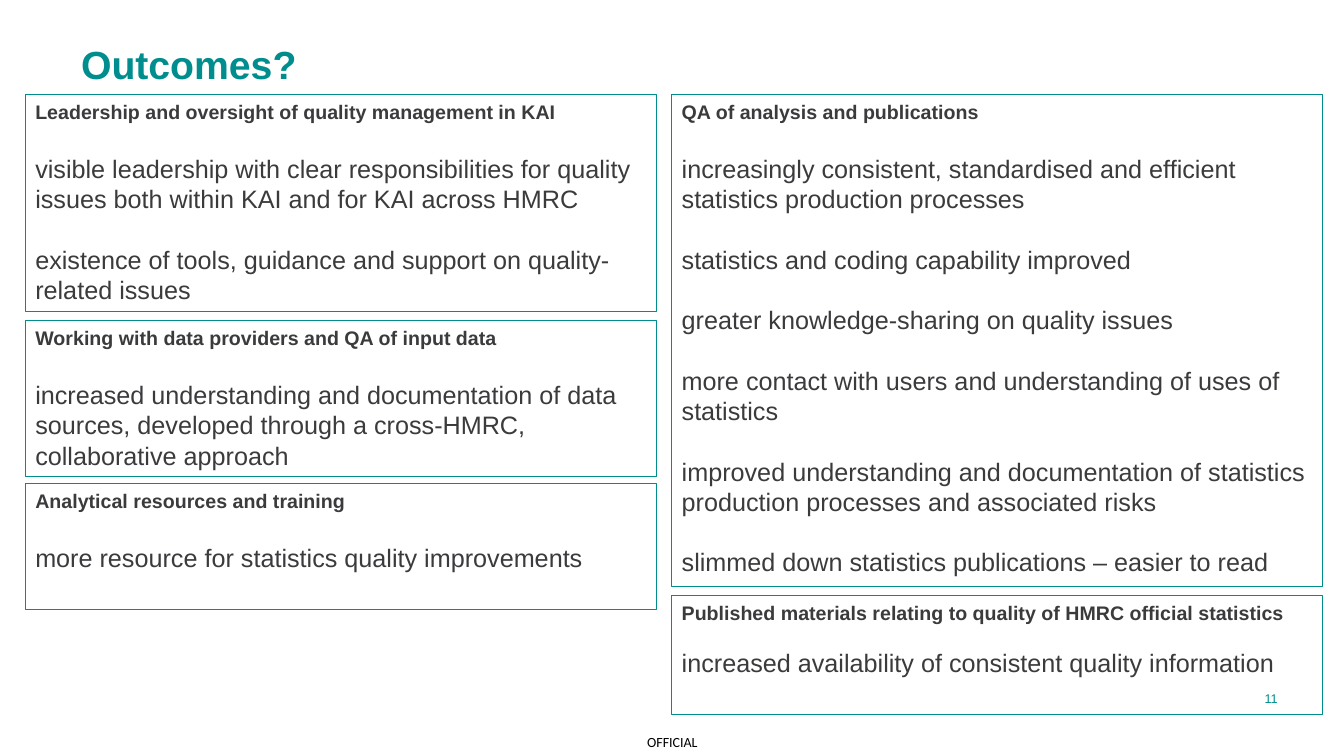
"""Build the Outcomes slide: five outlined boxes of headed statements."""
import pptx
import pptx.util
import pptx.dml.color
import pptx.enum.shapes
import pptx.enum.text

Cm, Pt = pptx.util.Cm, pptx.util.Pt
ALIGN, ANCHOR = pptx.enum.text.PP_ALIGN, pptx.enum.text.MSO_ANCHOR

COLORS = {"teal": "008D8E", "text": "3B3A3D", "black": "000000"}
GAP = 21.6
TOP = 2.39

COLUMNS = [
    {"left": 0.64, "width": 15.9, "boxes": [
        ("Leadership and oversight of quality management in KAI", 5.46, 0.23, GAP, [
            "visible leadership with clear responsibilities for quality issues "
            "both within KAI and for KAI across HMRC",
            "existence of tools, guidance and support on quality-related issues"]),
        ("Working with data providers and QA of input data", 3.94, 0.17, GAP, [
            "increased understanding and documentation of data sources, "
            "developed through a cross-HMRC, collaborative approach"]),
        ("Analytical resources and training", 3.18, 0, GAP, [
            "more resource for statistics quality improvements"])]},
    {"left": 16.93, "width": 16.41, "boxes": [
        ("QA of analysis and publications", 12.4, 0.22, GAP, [
            "increasingly consistent, standardised and efficient statistics "
            "production processes",
            "statistics and coding capability improved",
            "greater knowledge-sharing on quality issues",
            "more contact with users and understanding of uses of statistics",
            "improved understanding and documentation of statistics production "
            "processes and associated risks",
            "slimmed down statistics publications – easier to read"]),
        ("Published materials relating to quality of HMRC official statistics",
         2.99, 0, 16.8, ["increased availability of consistent quality information"])]},
]

LABELS = [
    ("OFFICIAL", 15.93, 18.33, 2.03, 0.74, 10, "Calibri", "black", ALIGN.CENTER, ANCHOR.MIDDLE),
    ("11", 31.34, 17.42, 0.86, 0.38, 9, "Arial", "teal", ALIGN.RIGHT, ANCHOR.TOP),
]


def rgb(name):
    return pptx.dml.color.RGBColor.from_string(COLORS[name])


def style(p, size, color, bold=False, font="Arial", align=ALIGN.LEFT):
    p.font.size, p.font.bold, p.font.name = Pt(size), bold, font
    p.font.color.rgb = rgb(color)
    p.alignment = align
    p.line_spacing = 1.0


def add_box(s, left, top, width, height, heading, gap, statements):
    sp = s.shapes.add_shape(pptx.enum.shapes.MSO_SHAPE.RECTANGLE,
                            Cm(left), Cm(top), Cm(width), Cm(height))
    sp.shadow.inherit = False
    sp.fill.background()
    sp.line.color.rgb = rgb("teal")
    sp.line.width = Pt(0.75)
    tf = sp.text_frame
    tf.word_wrap = True
    tf.vertical_anchor = ANCHOR.TOP
    tf.text = "\n".join([heading] + statements)
    for i, p in enumerate(tf.paragraphs):
        style(p, 18 if i else 14, "text", bold=i == 0)
        p.space_before = Pt(gap if i else 0)


prs = pptx.Presentation()
prs.slide_width, prs.slide_height = Cm(33.87), Cm(19.05)
s = prs.slides.add_slide(prs.slide_layouts[5])

title = s.shapes.title
title.left, title.top, title.width, title.height = Cm(1.79), Cm(0.89), Cm(21), Cm(1.45)
tf = title.text_frame
tf.text = "Outcomes?"
tf.vertical_anchor = ANCHOR.TOP
tf.auto_size = pptx.enum.text.MSO_AUTO_SIZE.NONE
style(tf.paragraphs[0], 28, "teal", bold=True)

for column in COLUMNS:
    top = TOP
    for heading, height, space_below, gap, statements in column["boxes"]:
        add_box(s, column["left"], top, column["width"], height, heading, gap, statements)
        top += height + space_below

for text, left, top, width, height, size, font, color, align, anchor in LABELS:
    tf = s.shapes.add_textbox(Cm(left), Cm(top), Cm(width), Cm(height)).text_frame
    tf.margin_left = tf.margin_right = tf.margin_top = tf.margin_bottom = 0
    tf.word_wrap = True
    tf.vertical_anchor = anchor
    tf.text = text
    style(tf.paragraphs[0], size, color, font=font, align=align)

prs.save("out.pptx")
